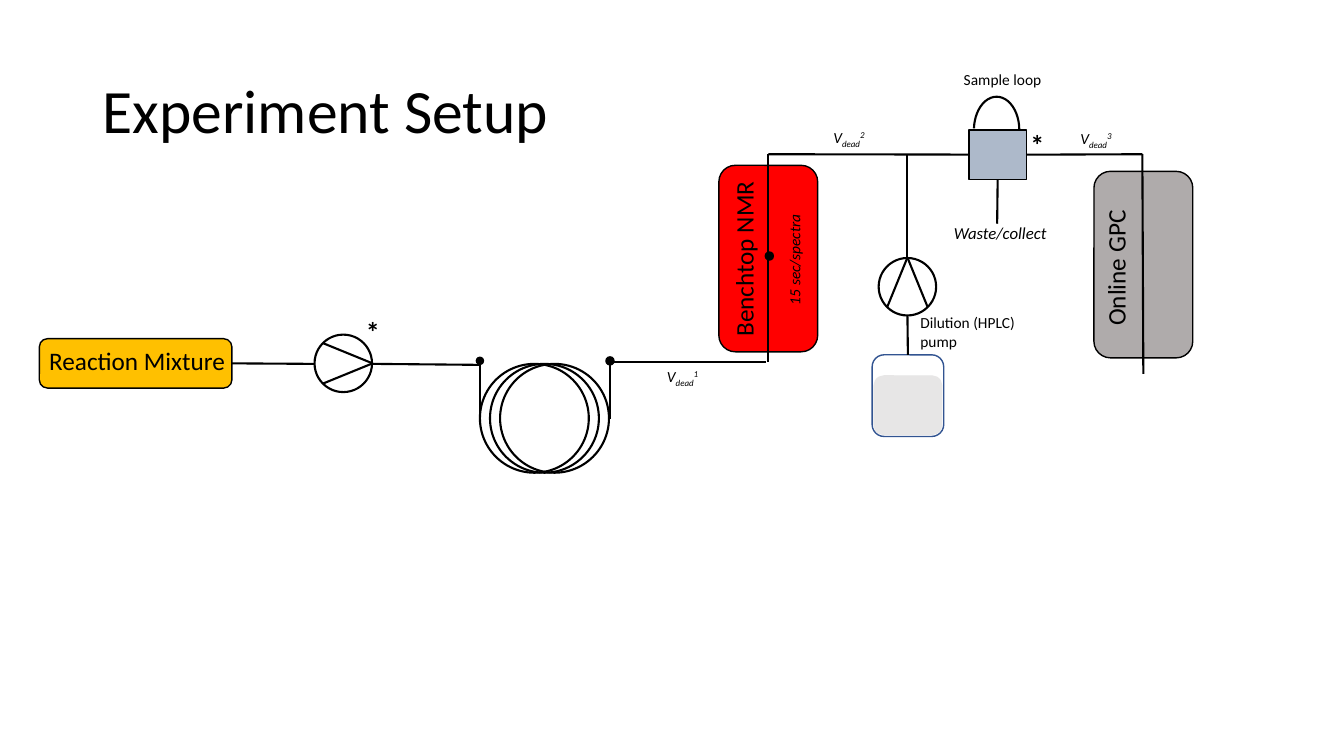
from dataclasses import dataclass
from lxml import etree
from pptx import Presentation
from pptx.dml.color import RGBColor
from pptx.enum.shapes import MSO_CONNECTOR, MSO_SHAPE
from pptx.enum.text import MSO_ANCHOR, PP_ALIGN
from pptx.oxml.ns import qn
from pptx.util import Inches, Pt

STRAIGHT = MSO_CONNECTOR.STRAIGHT
ROUND, RECT = MSO_SHAPE.ROUNDED_RECTANGLE, MSO_SHAPE.RECTANGLE
OVAL, ARC = MSO_SHAPE.OVAL, MSO_SHAPE.ARC
LEFT, CENTER = PP_ALIGN.LEFT, PP_ALIGN.CENTER
MIDDLE = MSO_ANCHOR.MIDDLE
TOP, BOTTOM, RIGHT = 0, 2, 3


@dataclass(frozen=True)
class Theme:
    """Colours, type sizes and line widths of the slide."""
    font: str = "Calibri"
    ink: str = "000000"
    mix: str = "FFC000"
    nmr: str = "FF0000"
    gpc: str = "AFABAB"
    valve: str = "ADB9CA"
    glass: str = "FFFFFF"
    rim: str = "325491"
    fluid: str = "E7E6E6"
    title: int = 44
    star: int = 20
    unit: int = 18
    note: int = 12
    small: int = 11
    thin: float = 1
    pipe: float = 1.5


THEME = Theme()


def add_form(slide, kind, box, fill=None, edge=THEME.ink, width=THEME.thin):
    """Add a preset shape, hollow unless a fill is given."""
    form = slide.shapes.add_shape(kind, *map(Inches, box))
    form.shadow.inherit = False
    if fill:
        form.fill.solid()
        form.fill.fore_color.rgb = RGBColor.from_string(fill)
    else:
        form.fill.background()
    form.line.color.rgb = RGBColor.from_string(edge)
    form.line.width = Pt(width)
    return form


def add_pipe(slide, start, end):
    """Add a straight black line between two points."""
    pipe = slide.shapes.add_connector(STRAIGHT, *map(Inches, start + end))
    pipe.line.color.rgb = RGBColor.from_string(THEME.ink)
    pipe.line.width = Pt(THEME.pipe)
    etree.SubElement(pipe._element.spPr, qn("a:effectLst"))
    return pipe


def add_text(slide, box, runs, size, align=LEFT, bold=False, italic=False, turn=0):
    """Add a text box from (text, baseline) runs."""
    label = slide.shapes.add_textbox(*map(Inches, box))
    label.rotation = turn
    frame = label.text_frame
    frame.word_wrap = True
    para = frame.paragraphs[0]
    para.alignment = align
    for text, base in runs:
        run = para.add_run()
        run.text = text
        font = run.font
        font.name, font.size = THEME.font, Pt(size)
        font.bold, font.italic = bold, italic
        font.color.rgb = RGBColor.from_string(THEME.ink)
        if base:
            run._r.get_or_add_rPr().set("baseline", str(base * 1000))
    return label


def add_pump(slide, x, y, dx, dy):
    """Add a pump centred on a point, its tip facing (dx, dy)."""
    add_form(slide, OVAL, (x - 0.285, y - 0.285, 0.57, 0.57), width=THEME.pipe)
    tip = (x + 0.29 * dx, y + 0.29 * dy)
    for side in (-0.2, 0.2):
        add_pipe(slide, tip, (x - 0.2 * dx + side * dy, y - 0.2 * dy + side * dx))


def add_dot(slide, x, y, size=0.08):
    """Add a black joint centred on a point."""
    add_form(slide, OVAL, (x - size / 2, y - size / 2, size, size), THEME.ink)


def add_coil(slide):
    """Add the reactor coil with its two risers."""
    add_pipe(slide, (4.76, 3.55), (4.76, 4.16))
    for turn in (2, 1, 0):
        add_form(slide, OVAL, (4.76 + 0.1 * turn, 3.61, 1.08, 1.08), width=THEME.pipe)
    add_dot(slide, 4.76, 3.58, 0.07)
    add_pipe(slide, (6.05, 3.59), (6.05, 4.16))


def add_feed(slide):
    """Add the reaction mixture, its pump and the coil."""
    mix = add_form(slide, ROUND, (0.39, 3.36, 1.91, 0.49), THEME.mix)
    add_pump(slide, 3.405, 3.605, 1, 0)
    add_pipe(slide, (2.3, 3.61), (3.12, 3.61)).begin_connect(mix, RIGHT)
    add_coil(slide)
    add_pipe(slide, (3.7, 3.61), (4.76, 3.62))


def add_units(slide):
    """Add the NMR, the GPC, the dilution branch and the valve."""
    add_form(slide, ROUND, (7.13, 1.64, 0.98, 1.85), THEME.nmr)
    add_pipe(slide, (6.05, 3.59), (7.6, 3.59))
    add_pipe(slide, (7.62, 3.59), (7.62, 1.53))
    main_pipe = add_pipe(slide, (7.62, 1.53), (10.19, 1.53))
    add_form(slide, ROUND, (10.85, 1.7, 0.98, 1.85), THEME.gpc)
    add_pump(slide, 9, 2.845, 0, -1)
    flask = add_form(slide, ROUND, (8.65, 3.52, 0.71, 0.81), THEME.glass, THEME.rim)
    add_form(slide, ROUND, (8.67, 3.73, 0.67, 0.58), THEME.fluid, THEME.fluid)
    add_pipe(slide, (9, 3.13), (9, 3.52)).end_connect(flask, TOP)
    add_pipe(slide, (9, 2.56), (9, 1.53))
    valve = add_form(slide, RECT, (9.61, 1.29, 0.57, 0.49), THEME.valve)
    main_pipe.end_connect(valve, RIGHT)
    loop = add_form(slide, ARC, (9.66, 0.96, 0.45, 0.66), width=THEME.pipe)
    loop.adjustments[0], loop.adjustments[1] = 110.39, 0
    add_pipe(slide, (9.89, 2.22), (9.89, 1.78)).end_connect(valve, BOTTOM)
    add_pipe(slide, (10.18, 1.53), (11.33, 1.53)).begin_connect(valve, RIGHT)
    add_pipe(slide, (11.33, 1.53), (11.34, 3.71))
    add_dot(slide, 6.05, 3.58)
    add_dot(slide, 7.63, 2.54)


def add_labels(slide):
    """Add the title and every label."""
    title = add_text(slide, (0.92, 0.4, 11.5, 1.45), [("Experiment Setup", 0)], THEME.title)
    title.text_frame.vertical_anchor = MIDDLE
    title.text_frame.paragraphs[0].line_spacing = 0.9
    labels = (
        ("Reaction Mixture", (0.39, 3.38, 2.27, 0.4), THEME.unit, LEFT, False, False, 0),
        ("Benchtop NMR", (6.45, 2.37, 1.85, 0.4), THEME.unit, CENTER, False, False, 270),
        ("Online GPC", (10.14, 2.46, 1.85, 0.4), THEME.unit, CENTER, False, False, 270),
        ("Sample loop", (9.46, 0.65, 1.48, 0.29), THEME.small, LEFT, False, False, 0),
        ("Waste/collect", (9.32, 2.16, 1.2, 0.3), THEME.note, CENTER, False, True, 0),
        ("*", (3.53, 3.07, 0.45, 0.44), THEME.star, LEFT, True, False, 0),
        ("*", (10.12, 1.22, 0.45, 0.44), THEME.star, LEFT, True, False, 0),
        ("15 sec/spectra", (7.28, 2.43, 1.2, 0.29), THEME.small, CENTER, False, True, 270),
        ("Dilution (HPLC) pump", (9.03, 3.06, 1.16, 0.47), THEME.small, LEFT, False, False, 0),
    )
    for text, box, *style in labels:
        add_text(slide, box, [(text, 0)], *style)
    spots = ((6.17, 3.59), (7.82, 1.22), (10.27, 1.23))
    for num, (x, y) in enumerate(spots, 1):
        runs = [("V", 0), ("dead", -25), (str(num), 30)]
        add_text(slide, (x, y, 1.2, 0.29), runs, THEME.small, CENTER, italic=True)


def main():
    """Build the slide and save it."""
    deck = Presentation()
    deck.slide_width, deck.slide_height = Inches(13.33), Inches(7.5)
    slide = deck.slides.add_slide(deck.slide_layouts[6])
    add_feed(slide)
    add_units(slide)
    add_labels(slide)
    deck.save("out.pptx")


if __name__ == "__main__":
    main()
